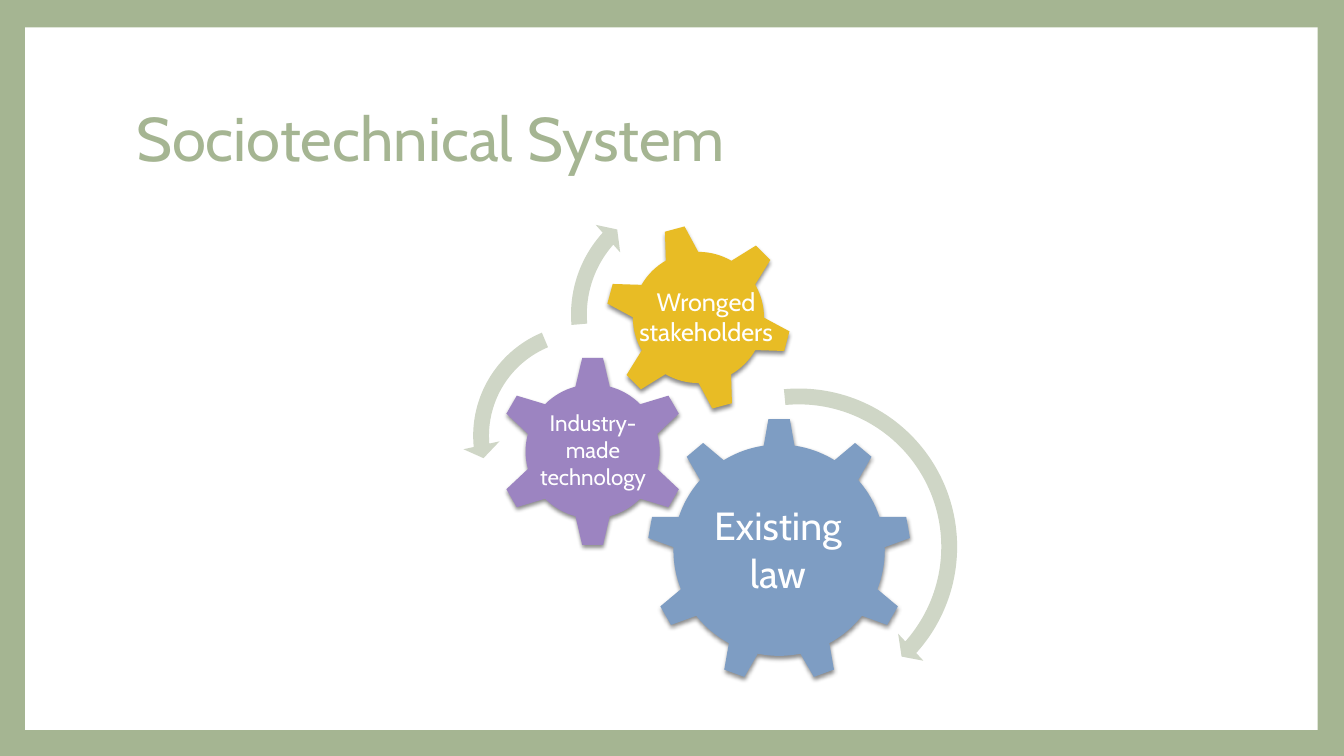
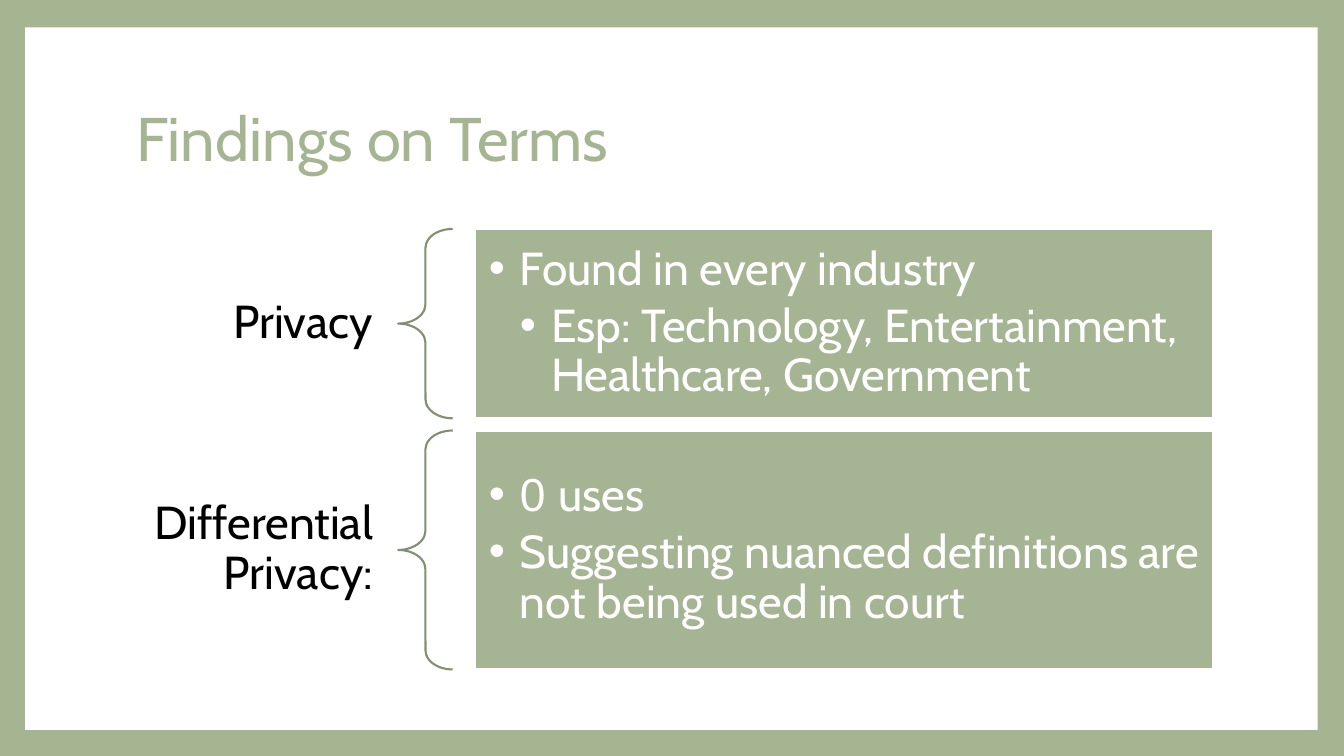
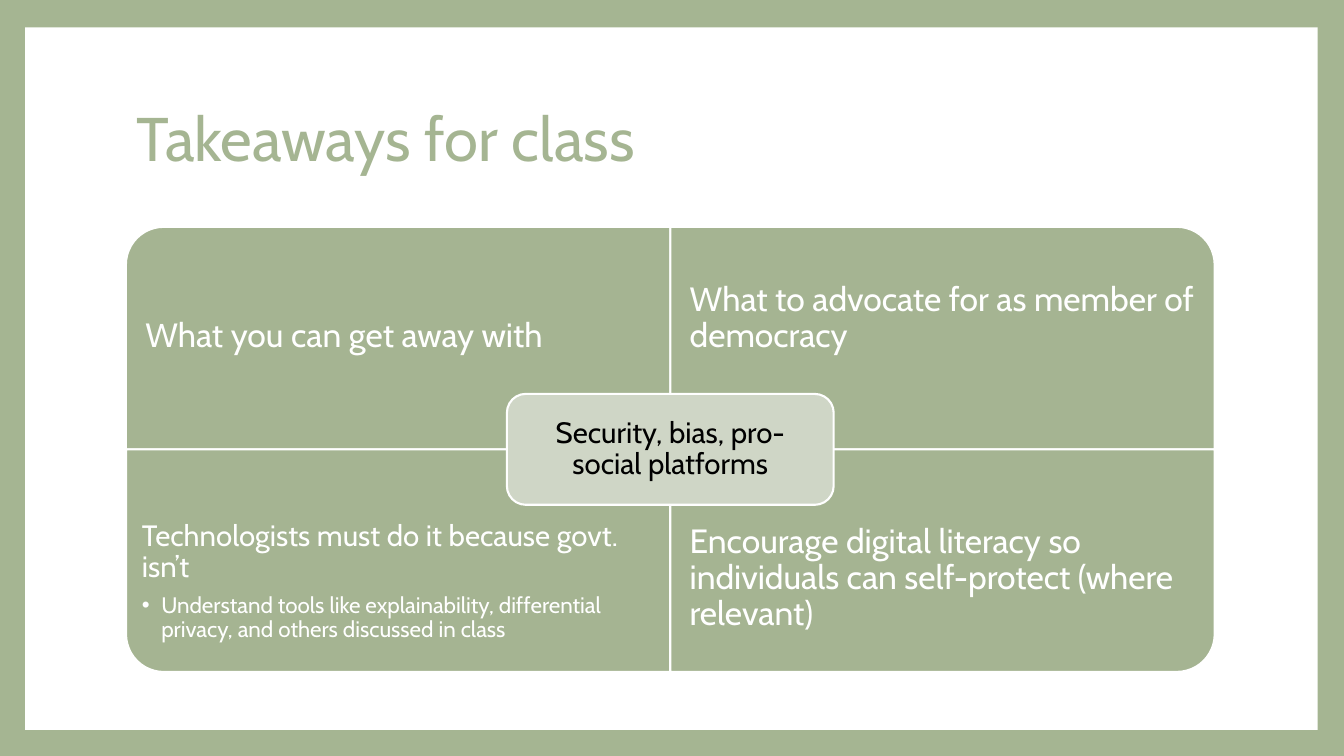
import lxml.etree
import pptx
import pptx.dml.color
import pptx.enum.shapes
import pptx.enum.text
import pptx.oxml.ns
import pptx.util

HUES = {
    "sage": "A5B592", "card": "A5B492", "pale": "CFD6C6", "moss": "828F71",
    "white": "FFFFFF", "black": "000000",
    "blue": "7E9DC3", "gold": "E8BC25", "plum": "9C84C1",
}
COLS, ROWS = 32, 18
KIND = pptx.enum.shapes.MSO_SHAPE
ALIGN = pptx.enum.text.PP_ALIGN
ANCHOR = pptx.enum.text.MSO_ANCHOR


def tint(name):
    return pptx.dml.color.RGBColor.from_string(HUES[name])


def add_tag(parent, tag, **attrs):
    return lxml.etree.SubElement(parent, pptx.oxml.ns.qn(tag), attrs)


def write(frame, text, size=24, hue="white", face="Cabin", align="LEFT",
          line=0.9, gap=0, bullet=None, hang=0):
    first = frame.paragraphs[0]
    par = frame.add_paragraph() if first.runs else first
    par.alignment = ALIGN[align]
    par.line_spacing = line
    par.space_before = pptx.util.Pt(gap)
    spans = [(text, face)] if isinstance(text, str) else text
    for words, font in spans:
        for i, part in enumerate(words.split("\n")):
            if i:
                par.add_line_break()
            run = par.add_run()
            run.text = part
            run.font.size = pptx.util.Pt(size)
            run.font.name = font
            run.font.color.rgb = tint(hue)
    if bullet:
        props = par._p.get_or_add_pPr()
        props.set("marL", str(int(hang * bullet)))
        props.set("indent", str(-int(hang)))
        props.set("lvl", str(bullet))
        add_tag(add_tag(props, "a:buClr"), "a:srgbClr", val=HUES[hue])
        add_tag(props, "a:buFont", typeface="Arial")
        add_tag(props, "a:buChar", char="•")


class Deck:
    """Holds the shared style and the current slide, placed on a grid."""

    def __init__(self):
        self.show = pptx.Presentation()
        self.show.slide_width = pptx.util.Inches(13.33)
        self.show.slide_height = pptx.util.Inches(7.5)
        self.col = self.show.slide_width / COLS
        self.row = self.show.slide_height / ROWS
        fill = self.show.slide_master.background.fill
        fill.solid()
        fill.fore_color.rgb = tint("sage")
        self.slide = None

    def place(self, x, y, w, h):
        return (int(x * self.col), int(y * self.row),
                int(w * self.col), int(h * self.row))

    def start(self, title):
        self.slide = self.show.slides.add_slide(self.show.slide_layouts[6])
        self.shape("RECTANGLE", (0.6, 0.65, 30.77, 16.73), "white")
        frame = self.label((3, 1.6, 25.92, 3.56), anchor="MIDDLE")
        write(frame, title, size=44, hue="sage")

    def shape(self, kind, box, fill=None, line=None, adj=(), turn=0):
        item = self.slide.shapes.add_shape(KIND[kind], *self.place(*box))
        item.shadow.inherit = False
        item.rotation = turn
        for i, value in enumerate(adj):
            item.adjustments[i] = value
        if fill:
            item.fill.solid()
            item.fill.fore_color.rgb = tint(fill)
        else:
            item.fill.background()
        if line:
            item.line.color.rgb = tint(line)
            item.line.width = pptx.util.Pt(1.5)
        else:
            item.line.fill.background()
        return item

    def center(self, kind, x, y, w, h, fill, **look):
        return self.shape(kind, (x - w / 2, y - h / 2, w, h), fill, **look)

    def gear(self, kind, x, y, size, fill, turn=0):
        item = self.center(kind, x, y, size, size, fill, turn=turn)
        effects = item.element.spPr.find(pptx.oxml.ns.qn("a:effectLst"))
        shade = add_tag(effects, "a:outerShdw", blurRad="38100", dist="25400",
                        dir="5400000", rotWithShape="0")
        black = add_tag(shade, "a:srgbClr", val=HUES["black"])
        add_tag(black, "a:alpha", val="45000")

    def arc(self, kind, x, y, size, thick, head, end, begin, wide):
        adj = [thick / 100, head * 0.6, end * 0.6, begin * 0.6, wide / 100]
        self.center(kind, x, y, size, size, "pale", adj=adj)

    def frame(self, item, anchor="TOP", pad=(0.24, 0.12)):
        frame = item.text_frame
        frame.word_wrap = True
        frame.vertical_anchor = ANCHOR[anchor]
        frame.margin_left = frame.margin_right = int(pad[0] * self.col)
        frame.margin_top = frame.margin_bottom = int(pad[1] * self.row)
        return frame

    def label(self, box, **look):
        item = self.slide.shapes.add_textbox(*self.place(*box))
        return self.frame(item, **look)

    def bullet(self, frame, text, hang, level=1, **look):
        write(frame, text, bullet=level, hang=hang * self.col, **look)


def draw_gears(deck):
    deck.start("Sociotechnical System")
    deck.gear("GEAR_6", 14.11, 10.75, 4.56, "plum")
    deck.gear("GEAR_6", 16.63, 7.56, 4.46, "gold", turn=345)
    deck.gear("GEAR_9", 18.55, 13.1, 6.29, "blue")
    deck.arc("CIRCULAR_ARROW", 19.02, 13.02, 8.04,
             4.69, 5, 41.9, 264.6, 5.47)
    deck.arc("LEFT_CIRCULAR_ARROW", 13.93, 10.38, 5.83,
             6.45, 7.17, 174.8, 247.3, 7.53)
    deck.arc("CIRCULAR_ARROW", 16.49, 7.49, 6.29,
             5.98, 6.57, 221.9, 175.1, 6.98)
    for box, text, size in [
        ((15.34, 11.83, 6.36, 2.5), "Existing\nlaw", 28),
        ((12.43, 9.62, 3.38, 2.18), "Industry-made\ntechnology", 16),
        ((13.63, 6.7, 6.36, 1.7), "Wronged\nstakeholders", 18),
    ]:
        write(deck.label(box), text, size=size, align="CENTER", line=1.0)


def draw_terms(deck):
    deck.start("Findings on Terms")
    zero = [("0 ", "Arial"), ("uses", "Cabin")]
    y, space = 5.45, 0.29
    for term, high, facts in [
        ("Privacy", 4.51, [
            (1, "Found in every industry"),
            (2, "Esp: Technology, Entertainment, Healthcare, Government")]),
        ("Differential Privacy:", 5.69, [
            (1, zero),
            (1, "Suggesting nuanced definitions are not being used in court")]),
    ]:
        name = deck.label((3.02, y, 6.48, high), anchor="MIDDLE",
                          pad=(0.62, 0.22))
        write(name, term, size=33, hue="black", align="RIGHT")
        deck.shape("LEFT_BRACE", (9.48, y, 1.3, high), line="moss",
                   adj=(0.35, 0.5))
        card = deck.shape("RECTANGLE", (11.3, y, 17.59, high), "card", "white")
        frame = deck.frame(card, anchor="MIDDLE", pad=(0.34, 0.34))
        for i, (level, fact) in enumerate(facts):
            deck.bullet(frame, fact, 0.74, level, size=33, gap=5 * i)
        y += high + space


def draw_class(deck):
    deck.start("Takeaways for class")
    left, top, wide, high = 3, 5.4, 12.96, 5.3
    for i, (turn, text, size, pad, drop) in enumerate([
        (270, "What you can get away with", 24, 0.46, 1.76),
        (0, "What to advocate for as member of democracy", 24, 0.46, 0.86),
        (180, "Technologists must do it because govt. isn’t", 21, 0.38, 1.32),
        (90, "Encourage digital literacy so individuals can self-protect "
         "(where relevant)", 24, 0.46, 1.32),
    ]):
        x, y = left + i % 2 * wide, top + i // 2 * high
        w, h = (high, wide) if turn % 180 else (wide, high)
        deck.center("ROUND_1_RECTANGLE", x + wide / 2, y + high / 2, w, h,
                    "card", line="white", adj=[0.17], turn=turn)
        frame = deck.label((x, y + drop, wide, high - drop), pad=(pad, pad))
        write(frame, text, size=size)
        if turn == 180:
            deck.bullet(frame, "Understand tools like explainability, "
                        "differential privacy, and others discussed in class",
                        0.46, size=16, gap=7.3)
    hub = deck.center("ROUNDED_RECTANGLE", left + wide, top + high, 7.78, 2.64,
                      "pale", line="white", adj=[0.17])
    write(deck.frame(hub, anchor="MIDDLE", pad=(0.22, 0.22)),
          "Security, bias, pro-social platforms",
          size=21, hue="black", align="CENTER")


def main():
    deck = Deck()
    draw_gears(deck)
    draw_terms(deck)
    draw_class(deck)
    deck.show.save("out.pptx")


if __name__ == "__main__":
    main()
